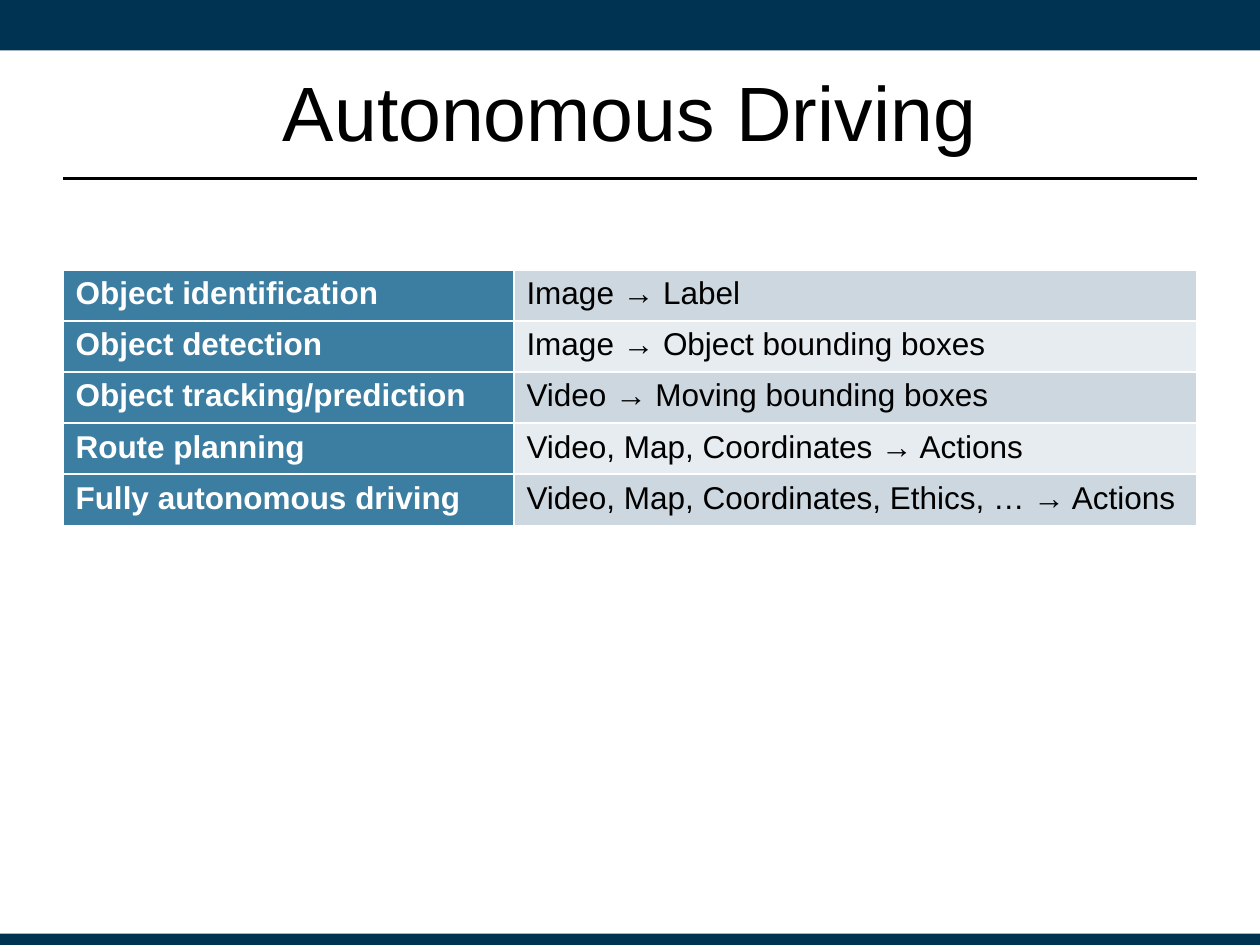
from typing import Any, NamedTuple

from lxml.etree import SubElement
from pptx import Presentation
from pptx.dml.color import RGBColor
from pptx.enum.shapes import MSO_CONNECTOR as Connector, MSO_SHAPE as Shape
from pptx.enum.text import MSO_ANCHOR as Anchor, PP_ALIGN as Align
from pptx.oxml.ns import qn
from pptx.util import Cm, Pt

NAVY = RGBColor(0x00, 0x32, 0x52)
BLUE = RGBColor(0x3B, 0x7E, 0xA1)
BAND_DARK = RGBColor(0xCD, 0xD7, 0xDF)
BAND_LIGHT = RGBColor(0xE7, 0xEC, 0xF0)
WHITE = RGBColor(0xFF, 0xFF, 0xFF)
BLACK = RGBColor(0x00, 0x00, 0x00)

SLIDE_WIDTH, SLIDE_HEIGHT = Cm(25.4), Cm(19.05)
MARGIN = Cm(1.27)
CONTENT_WIDTH = SLIDE_WIDTH - 2 * MARGIN
TASK_WIDTH = Cm(9.09)
ROW_HEIGHT = Cm(1.03)

TITLE_FORMAT = {"name": "Arial", "size": Pt(44), "bold": False}
TASK_FORMAT = {"name": "Arial", "size": Pt(18), "bold": True}
MAPPING_FORMAT = {**TASK_FORMAT, "bold": False}


class Bar(NamedTuple):
    top: int
    height: int


class Task(NamedTuple):
    name: str
    mapping: str


BARS = [Bar(Cm(0), Cm(1.02)), Bar(Cm(18.82), Cm(0.25))]
TASKS = [
    Task("Object identification", "Image → Label"),
    Task("Object detection", "Image → Object bounding boxes"),
    Task("Object tracking/prediction", "Video → Moving bounding boxes"),
    Task("Route planning", "Video, Map, Coordinates → Actions"),
    Task("Fully autonomous driving", "Video, Map, Coordinates, Ethics, … → Actions"),
]


def write_text(frame: Any, text: str, font_format: dict, color: RGBColor) -> None:
    run = frame.paragraphs[0].add_run()
    run.text = text
    for attribute, value in font_format.items():
        setattr(run.font, attribute, value)
    run.font.color.rgb = color


def draw_bar(slide: Any, bar: Bar) -> None:
    shape = slide.shapes.add_shape(Shape.RECTANGLE, 0, bar.top, SLIDE_WIDTH, bar.height)
    shape.shadow.inherit = False
    shape.fill.solid()
    shape.fill.fore_color.rgb = NAVY
    shape.line.fill.background()


def draw_title(slide: Any, text: str) -> None:
    title = slide.shapes.add_textbox(MARGIN, Cm(0.64), CONTENT_WIDTH, Cm(3.18))
    frame = title.text_frame
    frame.word_wrap = True
    frame.vertical_anchor = Anchor.MIDDLE
    frame.paragraphs[0].alignment = Align.CENTER
    write_text(frame, text, TITLE_FORMAT, BLACK)


def draw_rule(slide: Any, top: int) -> None:
    rule = slide.shapes.add_connector(
        Connector.STRAIGHT, MARGIN, top, MARGIN + CONTENT_WIDTH, top)
    rule.line.color.rgb = BLACK
    rule.line.width = Pt(1.25)
    SubElement(rule.line._get_or_add_ln().getparent(), qn("a:effectLst"))


def add_borders(cell: Any) -> None:
    properties = cell._tc.get_or_add_tcPr()
    for side in ("lnL", "lnR", "lnT", "lnB"):
        border = SubElement(properties, qn(f"a:{side}"), w=str(Pt(1)))
        fill = SubElement(border, qn("a:solidFill"))
        SubElement(fill, qn("a:srgbClr"), val=str(WHITE))


def fill_cell(cell: Any, text: str, font_format: dict,
              color: RGBColor, background: RGBColor) -> None:
    add_borders(cell)  # borders must precede the fill in the cell properties
    cell.fill.solid()
    cell.fill.fore_color.rgb = background
    write_text(cell.text_frame, text, font_format, color)


def draw_tasks(slide: Any, tasks: list[Task]) -> None:
    table = slide.shapes.add_table(
        len(tasks), 2, MARGIN, Cm(5.44), CONTENT_WIDTH, ROW_HEIGHT * len(tasks)).table
    table.first_row = table.horz_banding = False
    table.first_col = True
    table.columns[0].width = TASK_WIDTH
    table.columns[1].width = CONTENT_WIDTH - TASK_WIDTH
    for row, task in enumerate(tasks):
        band = BAND_LIGHT if row % 2 else BAND_DARK
        fill_cell(table.cell(row, 0), task.name, TASK_FORMAT, WHITE, BLUE)
        fill_cell(table.cell(row, 1), task.mapping, MAPPING_FORMAT, BLACK, band)


def main() -> None:
    presentation = Presentation()
    presentation.slide_width, presentation.slide_height = SLIDE_WIDTH, SLIDE_HEIGHT
    slide = presentation.slides.add_slide(presentation.slide_layouts[6])

    # Bars at the top and bottom edges
    for bar in BARS:
        draw_bar(slide, bar)

    # Title with the rule below it
    draw_rule(slide, Cm(3.6))
    draw_title(slide, "Autonomous Driving")

    # Table of driving tasks
    draw_tasks(slide, TASKS)

    presentation.save("out.pptx")


if __name__ == "__main__":
    main()
